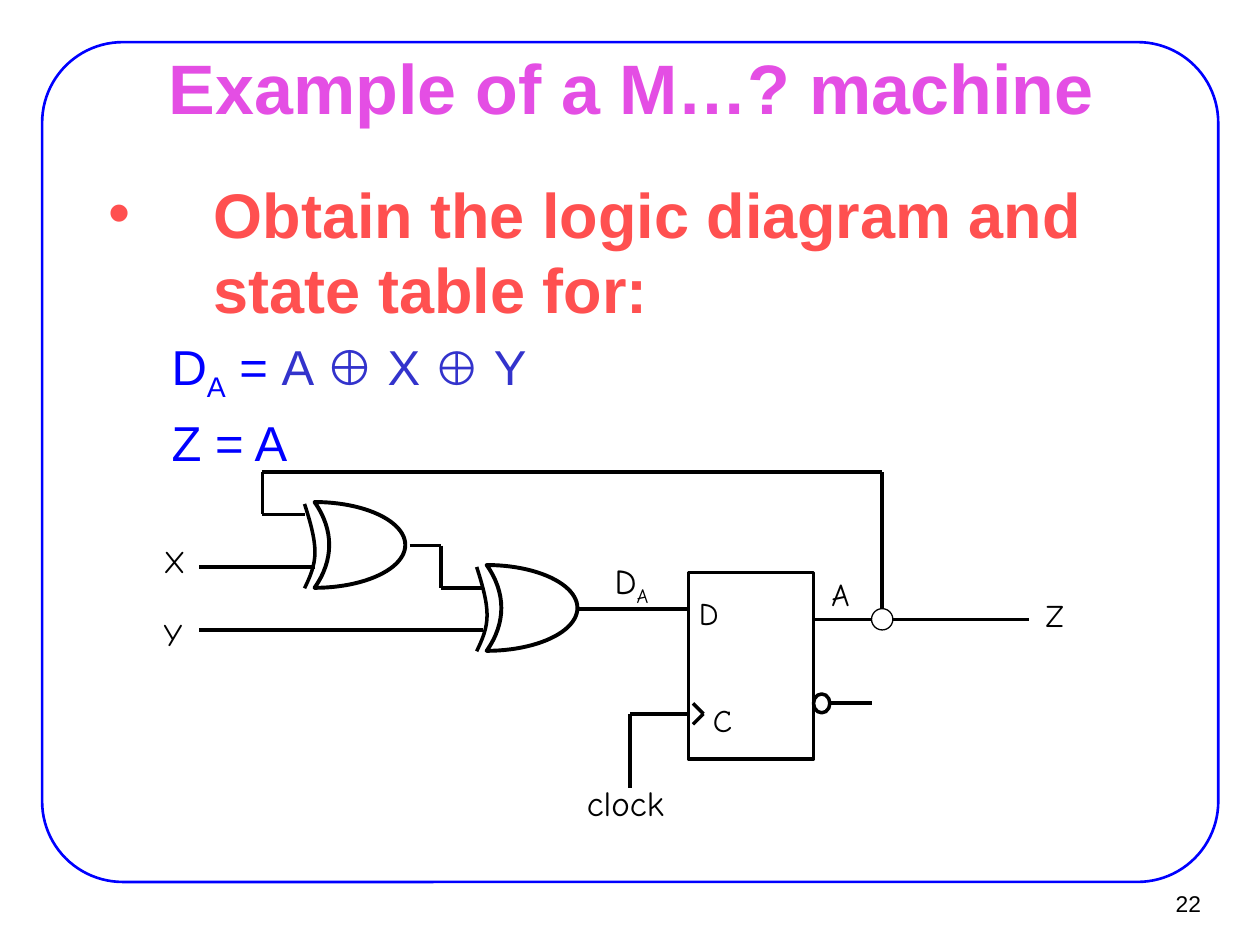
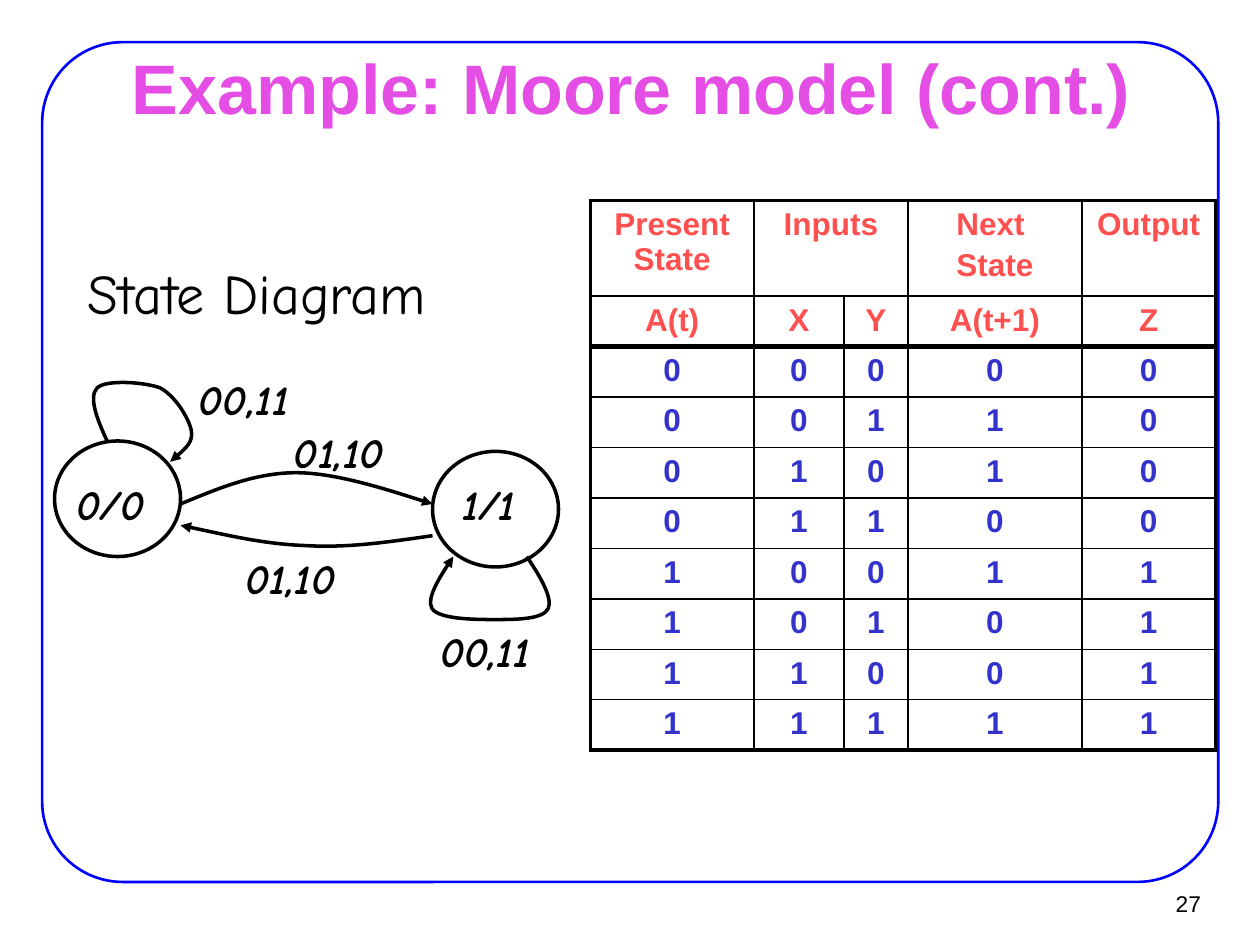
import itertools

import lxml.etree
import pptx
import pptx.dml.color
import pptx.enum.shapes
import pptx.enum.text
import pptx.oxml.ns
import pptx.util

Cm = pptx.util.Cm
Pt = pptx.util.Pt
rgb = pptx.dml.color.RGBColor.from_string
qn = pptx.oxml.ns.qn
MSO = pptx.enum.shapes.MSO_SHAPE
ALIGN = pptx.enum.text.PP_ALIGN
ANCHOR = pptx.enum.text.MSO_ANCHOR

BLACK, BLUE, INDIGO = "000000", "0000FF", "3333CC"
RED, PINK, WHITE = "FF5050", "E44EE4", "FFFFFF"
HAND = "Comic Neue"


def add_box(s, x, y, w, h, wrap=True, anchor=ANCHOR.TOP):
    tf = s.shapes.add_textbox(Cm(x), Cm(y), Cm(w), Cm(h)).text_frame
    tf.word_wrap = wrap
    tf.vertical_anchor = anchor
    return tf


def add_run(p, text, size, color=BLACK, font="Arial", bold=False, italic=False, base=0):
    r = p.add_run()
    r.text = text
    r.font.size = Pt(size)
    r.font.name = font
    r.font.bold = bold
    r.font.italic = italic
    r.font.color.rgb = rgb(color)
    if base:
        r._r.get_or_add_rPr().set("baseline", str(base * 1000))


prs = pptx.Presentation()
prs.slide_width, prs.slide_height = Cm(25.4), Cm(19.05)

slides = []
for title, number in [("Example of a M…? machine", "22"), ("Example: Moore model (cont.)", "27")]:
    s = prs.slides.add_slide(prs.slide_layouts[6])
    slides.append(s)
    sp = s.shapes.add_shape(MSO.ROUNDED_RECTANGLE, Cm(0.85), Cm(0.85), Cm(23.71), Cm(16.93))
    sp.adjustments[0] = 0.096
    sp.shadow.inherit = False
    sp.fill.background()
    sp.line.color.rgb = rgb(BLUE)
    sp.line.width = Pt(1.5)
    p = add_box(s, 22.91, 17.75, 1.55, 0.94, False, ANCHOR.MIDDLE).paragraphs[0]
    p.alignment = ALIGN.RIGHT
    add_run(p, number, 13)
    p = add_box(s, 1.93, 1.12, 21.59, 1.24, True, ANCHOR.MIDDLE).paragraphs[0]
    p.alignment = ALIGN.CENTER
    add_run(p, title, 40, PINK, bold=True)
logic, states = slides

tf = add_box(logic, 1.9, 3.38, 21.59, 13.94)
tf.margin_left = tf.margin_right = Cm(0.28)
tf.margin_top = tf.margin_bottom = Cm(0.15)
p = tf.paragraphs[0]
p.space_before = Pt(3.6)
pPr = p._p.get_or_add_pPr()
pPr.set("marL", str(Cm(2.13)))
pPr.set("indent", str(Cm(-2.13)))
lxml.etree.SubElement(pPr, qn("a:buFont"), typeface="Arial")
lxml.etree.SubElement(pPr, qn("a:buChar"), char="•")
add_run(p, "Obtain the logic diagram and state table for:", 36, RED, bold=True)

equations = [
    [("D", 28, BLUE), ("A", 28, BLUE, "Arial", False, False, -25), (" = ", 28, BLUE),
     ("A ⊕ X ", 28, INDIGO), ("⊕", 27, INDIGO, "Times New Roman"), (" Y", 28, INDIGO)],
    [("Z = A", 28, BLUE)],
]
for runs in equations:
    p = tf.add_paragraph()
    p.space_before = Pt(5.6)
    pPr = p._p.get_or_add_pPr()
    pPr.set("marL", str(Cm(2.07)))
    pPr.set("indent", str(Cm(-0.79)))
    for run in runs:
        add_run(p, *run)

wires = [
    [(6.35, 11.43), (4.02, 11.43)],
    [(9.73, 12.7), (4.02, 12.7)],
    [(8.26, 11), (8.89, 11), (8.89, 11.85), (9.73, 11.85)],
    [(11.63, 12.28), (13.88, 12.28)],
    [(12.7, 15.88), (12.7, 14.39), (13.88, 14.39)],
    [(13.97, 14.18), (14.18, 14.39), (13.97, 14.6)],
    [(16.74, 14.17), (17.57, 14.17)],
    [(16.4, 12.49), (20.75, 12.49)],
    [(17.78, 12.49), (17.78, 9.52), (5.29, 9.52), (5.29, 10.37), (6.14, 10.37)],
]
for wire in wires:
    for start, end in zip(wire, wire[1:]):
        ends = [Cm(v) for v in start + end]
        c = logic.shapes.add_connector(pptx.enum.shapes.MSO_CONNECTOR.STRAIGHT, *ends)
        c.line.color.rgb = rgb(BLACK)
        c.line.width = Pt(2)
        lxml.etree.SubElement(c._element.spPr, qn("a:effectLst"))

gates = [(6.14, 10.16), (9.61, 11.43)]
shapes = [(logic, MSO.MOON, x + 0.2, y - 0.04, 1.83, 1.73, 2.25, None) for x, y in gates]
shapes += [
    (logic, MSO.RECTANGLE, 13.88, 11.54, 2.52, 3.76, 2, None),
    (logic, MSO.OVAL, 16.4, 13.99, 0.33, 0.38, 2, None),
    (logic, MSO.OVAL, 17.57, 12.27, 0.43, 0.43, 0.75, WHITE),
    (states, MSO.OVAL, 1.1, 8.89, 2.54, 2.33, 2, None),
    (states, MSO.OVAL, 8.72, 9.1, 2.54, 2.33, 2, None),
]
for s, kind, x, y, w, h, width, fill in shapes:
    sp = s.shapes.add_shape(kind, Cm(x), Cm(y), Cm(w), Cm(h))
    sp.shadow.inherit = False
    sp.line.color.rgb = rgb(BLACK)
    sp.line.width = Pt(width)
    if fill:
        sp.fill.solid()
        sp.fill.fore_color.rgb = rgb(fill)
    else:
        sp.fill.background()
    if kind == MSO.MOON:
        sp.adjustments[0] = 0.838
        sp.rotation = 180

gate_arc = [(0, 0), (0.11, 0.34), (0.21, 0.69), (0.21, 0.97), (0.21, 1.25), (0.11, 1.47), (0, 1.7)]
curves = [(logic, [(x + dx, y + dy) for dx, dy in gate_arc]) for x, y in gates]
curves += [
    (states, [(2.16, 8.89), (1.96, 8.46), (1.78, 8), (1.96, 7.82), (2.13, 7.65), (2.9, 7.7), (3.23, 7.82),
              (3.53, 7.98), (3.81, 8.43), (3.86, 8.69), (3.89, 8.92), (3.66, 9.12), (3.43, 9.31)]),
    (states, [(3.64, 10.16), (4.37, 9.86), (5.13, 9.53), (5.97, 9.53), (6.81, 9.53), (8.23, 10.01),
              (8.72, 10.16)]),
    (states, [(8.72, 10.8), (7.87, 10.92), (7.04, 11.05), (6.18, 11), (5.33, 10.97), (4.5, 10.77),
              (3.64, 10.59)]),
    (states, [(10.62, 11.22), (10.9, 11.63), (11.15, 12.07), (11.05, 12.27), (10.95, 12.49), (10.39, 12.49),
              (9.98, 12.49), (9.6, 12.49), (8.86, 12.49), (8.71, 12.27), (8.59, 12.07), (8.99, 11.43),
              (9.14, 11.22)]),
]
for s, pts in curves:
    start, *rest = [(Cm(x), Cm(y)) for x, y in pts]
    fb = s.shapes.build_freeform(*start)
    fb.add_line_segments(rest, close=False)
    sp = fb.convert_to_shape()
    outline = sp._element.spPr.find(".//" + qn("a:path"))
    segments = outline.findall(qn("a:lnTo"))
    for i in range(0, len(segments), 3):
        bezier = lxml.etree.SubElement(outline, qn("a:cubicBezTo"))
        for segment in segments[i:i + 3]:
            bezier.append(segment[0])
            outline.remove(segment)
    sp.shadow.inherit = False
    sp.fill.background()
    sp.line.color.rgb = rgb(BLACK)
    sp.line.width = Pt(2)
    if s is states:
        lxml.etree.SubElement(sp.line._get_or_add_ln(), qn("a:tailEnd"), type="triangle")

pin_labels = [
    ("D", 13.84, 11.86, 0.97, 18), ("C", 14.12, 14.01, 0.89, 18), ("X", 3.05, 10.8, 0.97, 18),
    ("Y", 3.05, 12.27, 0.91, 18), ("A", 16.51, 11.47, 0.97, 18), ("Z", 20.83, 11.89, 0.97, 18),
    ("clock", 11.58, 15.62, 2.18, 20),
]
for text, x, y, w, size in pin_labels:
    add_run(add_box(logic, x, y, w, 1.14, False).paragraphs[0], text, size, font=HAND)
p = add_box(logic, 12.14, 11.15, 1.35, 1.24, False).paragraphs[0]
add_run(p, "D", 20, font=HAND)
add_run(p, "A", 20, font=HAND, base=-25)

add_run(add_box(states, 1.52, 5.08, 10.16, 1.6).paragraphs[0], "State Diagram", 32, font=HAND)
state_labels = [
    ("0/0", 1.24, 9.53, 1.98), ("1/1", 8.87, 9.53, 1.98), ("00,11", 3.44, 7.41, 2.95),
    ("01,10", 5.36, 8.47, 2.95), ("01,10", 4.38, 11.01, 2.95), ("00,11", 8.31, 12.49, 2.95),
]
for text, x, y, w in state_labels:
    p = add_box(states, x, y, w, 1.27, False).paragraphs[0]
    p.alignment = ALIGN.CENTER
    add_run(p, text, 24, font=HAND, bold=True, italic=True)

rows = [["Present State", "Inputs", "", "Next \nState", "Output"], ["A(t)", "X", "Y", "A(t+1)", "Z"]]
rows += [[str(v) for v in (a, x, y, a ^ x ^ y, a)] for a, x, y in itertools.product((0, 1), repeat=3)]
col_widths = [3.3, 1.81, 1.29, 3.51, 2.69]
table_height, header_height = 11.07, 1.93
row_heights = [header_height] + [(table_height - header_height) / 9] * 9
table = states.shapes.add_table(len(rows), len(col_widths), Cm(11.9), Cm(4.04),
                                Cm(sum(col_widths)), Cm(table_height)).table
table.first_row = table.horz_banding = False
for col, w in zip(table.columns, col_widths):
    col.width = Cm(w)
for row, h in zip(table.rows, row_heights):
    row.height = Cm(h)
table.cell(0, 1).merge(table.cell(0, 2))

for i, row in enumerate(rows):
    for j, text in enumerate(row):
        cell = table.cell(i, j)
        borders = {
            "L": 2.25 if j == 0 else 1,
            "R": 2.25 if j == len(row) - 1 else 1,
            "T": 2.25 if i == 0 else 3 if i == 2 else 1,
            "B": 2.25 if i == len(rows) - 1 else 3 if i == 1 else 1,
        }
        tcPr = cell._tc.get_or_add_tcPr()
        for side, width in borders.items():
            ln = lxml.etree.SubElement(tcPr, qn("a:ln" + side), w=str(Pt(width)))
            fill = lxml.etree.SubElement(ln, qn("a:solidFill"))
            lxml.etree.SubElement(fill, qn("a:srgbClr"), val=BLACK)
        cell.fill.background()
        if not text:
            continue
        for k, part in enumerate(text.split("\n")):
            p = cell.text_frame.add_paragraph() if k else cell.text_frame.paragraphs[0]
            p.alignment = ALIGN.CENTER
            p.space_before = Pt(3.6)
            add_run(p, part, 18, RED if i < 2 else INDIGO, bold=True)

prs.save("out.pptx")
